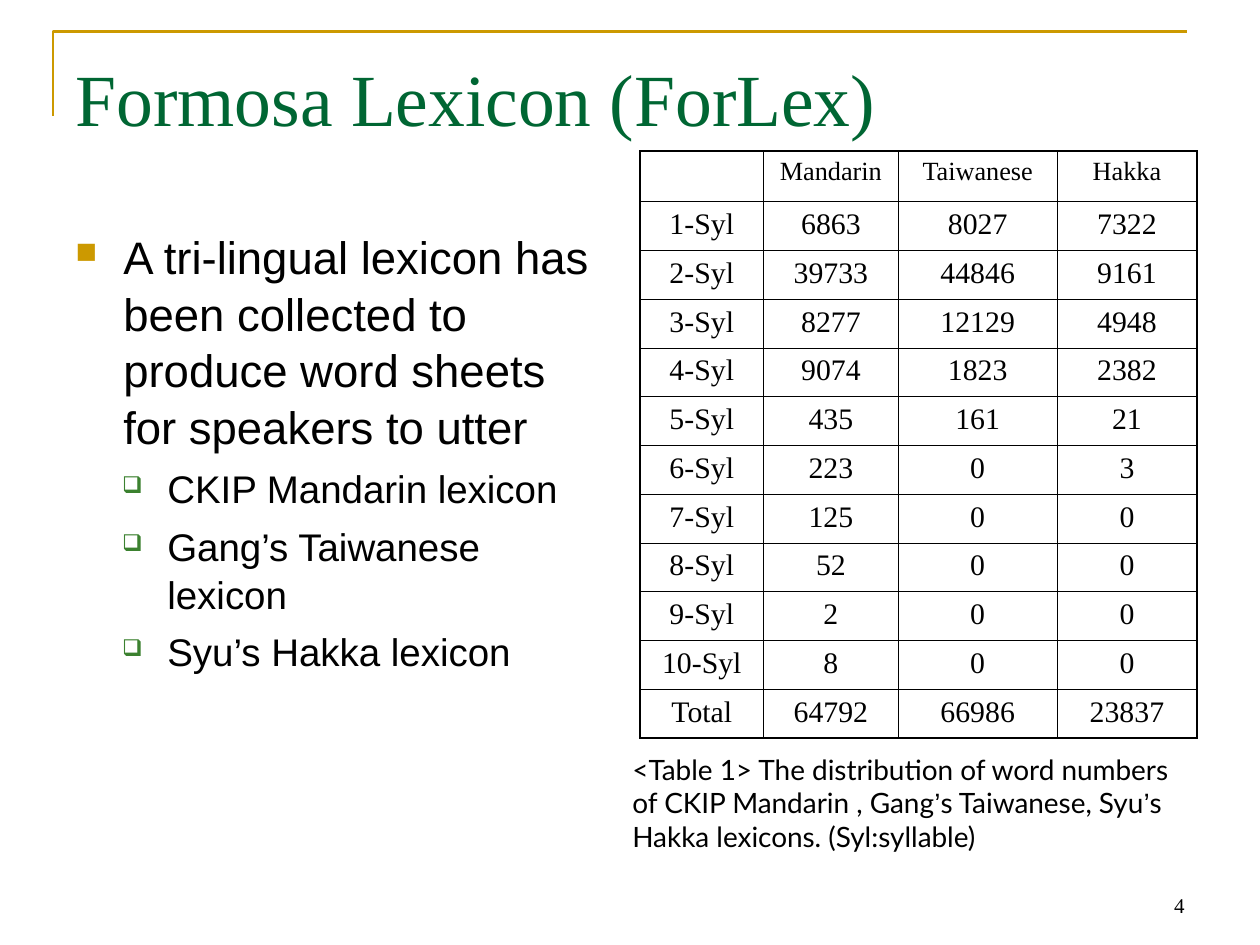
"""Build the Formosa Lexicon slide with its word-count table."""
from lxml import etree
from pptx import Presentation
from pptx import util as u
from pptx.dml.color import RGBColor
from pptx.enum import text as t
from pptx.oxml.ns import qn

SERIF, SANS, CAPTION_FONT = "Times New Roman", "Arial", "Lato"
BLACK, GREEN, GOLD, LEAF = "000000", "006633", "CC9900", "3B812F"
TITLE = "Formosa Lexicon (ForLex)"
LEVELS = [
    dict(size=26, left=0.38, hang=0.38, mark="■", color=GOLD, scale=65),
    dict(size=22, left=0.73, hang=0.36, mark="❑", color=LEAF, scale=60),
]
BULLETS = [
    (0, "A tri-lingual lexicon has been collected to produce word sheets for speakers to utter"),
    (1, "CKIP Mandarin lexicon"),
    (1, "Gang’s Taiwanese lexicon"),
    (1, "Syu’s Hakka lexicon"),
]
ROWS = [
    ("", "Mandarin", "Taiwanese", "Hakka"),
    ("1-Syl", "6863", "8027", "7322"),
    ("2-Syl", "39733", "44846", "9161"),
    ("3-Syl", "8277", "12129", "4948"),
    ("4-Syl", "9074", "1823", "2382"),
    ("5-Syl", "435", "161", "21"),
    ("6-Syl", "223", "0", "3"),
    ("7-Syl", "125", "0", "0"),
    ("8-Syl", "52", "0", "0"),
    ("9-Syl", "2", "0", "0"),
    ("10-Syl", "8", "0", "0"),
    ("Total", "64792", "66986", "23837"),
]
COLUMN_WIDTHS = [0.98, 1.07, 1.26, 1.11]
TABLE_HEIGHT, HEADER_HEIGHT = 4.63, 0.37
THIN, THICK = 0.45, 1.08
CAPTION = [
    ("<Table 1> The distribution of word numbers of CKIP Mandarin , Gang", CAPTION_FONT),
    ("’", SANS),
    ("s Taiwanese, Syu", CAPTION_FONT),
    ("’", SANS),
    ("s Hakka lexicons. (Syl:syllable)", CAPTION_FONT),
]


def rgb(value):
    return RGBColor.from_string(value)


def add_run(paragraph, content, font, size, color=BLACK):
    run = paragraph.add_run()
    run.text = content
    run.font.name, run.font.size = font, u.Pt(size)
    run.font.color.rgb = rgb(color)


def add_box(slide, *place):
    frame = slide.shapes.add_textbox(*map(u.Inches, place)).text_frame
    frame.word_wrap = True
    return frame


def add_color(parent, tag, color):
    holder = etree.SubElement(parent, qn(tag))
    etree.SubElement(holder, qn("a:srgbClr"), val=color)


def set_bullet(paragraph, level):
    properties = paragraph._p.get_or_add_pPr()
    properties.set("marL", str(u.Inches(level["left"])))
    properties.set("indent", str(-u.Inches(level["hang"])))
    add_color(properties, "a:buClr", level["color"])
    etree.SubElement(properties, qn("a:buSzPct"), val=str(level["scale"] * 1000))
    etree.SubElement(properties, qn("a:buChar"), char=level["mark"])


def set_borders(cell, widths):
    properties = cell._tc.get_or_add_tcPr()
    for side, width in zip("LRTB", widths):
        line = etree.SubElement(properties, qn(f"a:ln{side}"), w=str(u.Pt(width)))
        add_color(line, "a:solidFill", BLACK)


def add_frame_line(slide):
    builder = slide.shapes.build_freeform(u.Inches(0.42), u.Inches(0.92))
    corners = [(0.42, 0.25), (9.42, 0.25)]
    builder.add_line_segments([(u.Inches(x), u.Inches(y)) for x, y in corners], close=False)
    shape = builder.convert_to_shape()
    shape.shadow.inherit = False
    shape.fill.background()
    shape.line.color.rgb = rgb(GOLD)
    shape.line.width = u.Pt(1.5)


def add_title(slide):
    title = slide.shapes.title
    title.left, title.top, title.width, title.height = map(u.Inches, (0.5, 0.3, 9, 1.25))
    frame = title.text_frame
    frame.auto_size = t.MSO_AUTO_SIZE.NONE
    frame.vertical_anchor = t.MSO_ANCHOR.TOP
    frame.margin_top = u.Inches(0.12)
    frame.paragraphs[0].alignment = t.PP_ALIGN.LEFT
    add_run(frame.paragraphs[0], TITLE, SERIF, 42, GREEN)


def add_bullets(slide):
    frame = add_box(slide, 0.5, 1.75, 4.42, 4.95)
    for index, (depth, content) in enumerate(BULLETS):
        paragraph = frame.add_paragraph() if index else frame.paragraphs[0]
        paragraph.level = depth
        set_bullet(paragraph, LEVELS[depth])
        paragraph.line_spacing = 1.04
        paragraph.space_before = u.Pt(5.5 if index else 0)
        add_run(paragraph, content, SANS, LEVELS[depth]["size"])


def add_word_table(slide):
    last_row, last_column = len(ROWS) - 1, len(COLUMN_WIDTHS) - 1
    place = map(u.Inches, (5.08, 1.2, sum(COLUMN_WIDTHS), TABLE_HEIGHT))
    table = slide.shapes.add_table(len(ROWS), len(COLUMN_WIDTHS), *place).table
    table.first_row = table.horz_banding = False
    for column, width in zip(table.columns, COLUMN_WIDTHS):
        column.width = u.Inches(width)
    body_height = (TABLE_HEIGHT - HEADER_HEIGHT) / last_row
    for r, values in enumerate(ROWS):
        table.rows[r].height = u.Inches(body_height if r else HEADER_HEIGHT)
        for c, value in enumerate(values):
            cell = table.cell(r, c)
            edges = (c == 0, c == last_column, r == 0, r == last_row)
            set_borders(cell, [THICK if edge else THIN for edge in edges])
            cell.fill.background()
            paragraph = cell.text_frame.paragraphs[0]
            paragraph.alignment = t.PP_ALIGN.CENTER
            if value:
                add_run(paragraph, value, SERIF, 17 if r else 15)


def add_caption(slide):
    paragraph = add_box(slide, 4.92, 5.92, 4.65, 1.17).paragraphs[0]
    for content, font in CAPTION:
        add_run(paragraph, content, font, 16)


def add_page_number(slide):
    frame = add_box(slide, 7.17, 6.83, 2.33, 0.5)
    frame.vertical_anchor = t.MSO_ANCHOR.BOTTOM
    frame.paragraphs[0].alignment = t.PP_ALIGN.RIGHT
    add_run(frame.paragraphs[0], "4", SERIF, 12)


def main():
    presentation = Presentation()
    presentation.slide_width, presentation.slide_height = u.Inches(10), u.Inches(7.5)
    slide = presentation.slides.add_slide(presentation.slide_layouts[5])
    add_frame_line(slide)
    add_page_number(slide)
    add_title(slide)
    add_bullets(slide)
    add_word_table(slide)
    add_caption(slide)
    presentation.save("out.pptx")


if __name__ == "__main__":
    main()
